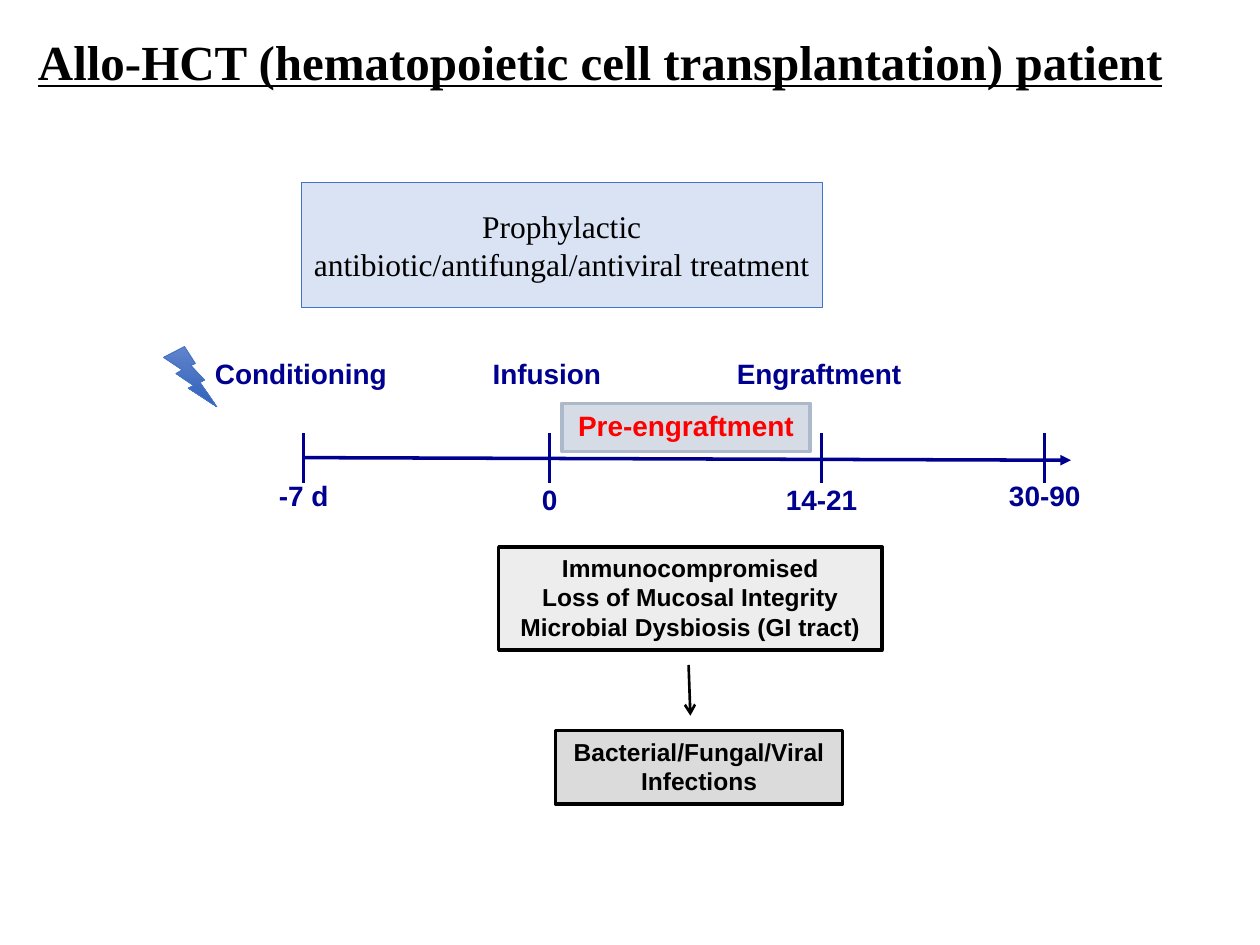
from lxml import etree
from pptx import Presentation
from pptx.dml.color import RGBColor
from pptx.enum.shapes import MSO_CONNECTOR, MSO_SHAPE
from pptx.enum.text import MSO_ANCHOR, MSO_AUTO_SIZE, PP_ALIGN
from pptx.oxml.ns import qn
from pptx.util import Pt

LEFT, CENTER = PP_ALIGN.LEFT, PP_ALIGN.CENTER
TOP, MIDDLE = MSO_ANCHOR.TOP, MSO_ANCHOR.MIDDLE
RECTANGLE, BOLT = MSO_SHAPE.RECTANGLE, MSO_SHAPE.LIGHTNING_BOLT
STRAIGHT = MSO_CONNECTOR.STRAIGHT
FIXED_SIZE = MSO_AUTO_SIZE.NONE
TITLE_ONLY = 5

COLORS = {
    "black": "000000", "navy": "000090", "red": "FF0000", "blue": "4472C4",
    "treatment": "DAE3F3", "phase": "D6DCE5", "phase_edge": "ADB9CA",
    "risks": "EDEDED", "infections": "DBDBDB",
    "bolt_top": "6183CB", "bolt_bottom": "3062BB",
}

# Tick position, day label, label top and width, event, event width
MILESTONES = [
    (173.5, "-7 d", 270, 43, "Conditioning", 114.5),
    (314, "0", 272, 24, "Infusion", 77),
    (469.5, "14-21", 272, 56, "Engraftment", 109.5),
    (597, "30-90", 270, 56, None, 0),
]
TICK_TOP, TICK_BOTTOM = 247.5, 276
EVENT_TOP, LABEL_HEIGHT = 200, 26.5


def color(name):
    return RGBColor.from_string(COLORS[name])


def place(shape, left, top, width, height):
    shape.left, shape.top = Pt(left), Pt(top)
    shape.width, shape.height = Pt(width), Pt(height)


def write(shape, text, *, size=16, font="Arial", ink="navy", bold=True,
          underline=None, align=CENTER, anchor=TOP, spacing=1, wrap=True):
    frame = shape.text_frame
    frame.auto_size = FIXED_SIZE
    frame.word_wrap = wrap
    frame.vertical_anchor = anchor
    frame.text = text
    for para in frame.paragraphs:
        para.alignment = align
        para.line_spacing = spacing
        for span in para.runs:
            span.font.name = font
            span.font.size = Pt(size)
            span.font.bold = bold
            span.font.underline = underline
            span.font.color.rgb = color(ink)


def add_label(page, text, center, top, width):
    box = page.shapes.add_textbox(
        Pt(center - width / 2), Pt(top), Pt(width), Pt(LABEL_HEIGHT))
    write(box, text, wrap=False)


def add_box(page, text, bounds, fill, edge, weight, **text_format):
    box = page.shapes.add_shape(RECTANGLE, *map(Pt, bounds))
    box.shadow.inherit = False
    box.fill.solid()
    box.fill.fore_color.rgb = color(fill)
    box.line.color.rgb = color(edge)
    box.line.width = Pt(weight)
    write(box, text, **text_format)


def add_line(page, start, end, ink, weight, head=None):
    line = page.shapes.add_connector(STRAIGHT, *map(Pt, start + end))
    line.line.color.rgb = color(ink)
    line.line.width = Pt(weight)
    if head:
        outline = line.line._get_or_add_ln()
        etree.SubElement(outline, qn("a:tailEnd"), type=head)
    properties = line._element.spPr
    etree.SubElement(properties, qn("a:effectLst"))


def add_bolt(page, *bounds):
    bolt = page.shapes.add_shape(BOLT, *map(Pt, bounds))
    bolt.shadow.inherit = False
    bolt.fill.gradient()
    bolt.fill.gradient_angle = 270
    for stop, name in zip(bolt.fill.gradient_stops, ("bolt_top", "bolt_bottom")):
        stop.color.rgb = color(name)
    bolt.line.color.rgb = color("blue")
    bolt.line.width = Pt(0.5)


def add_timeline(page):
    add_line(page, (MILESTONES[0][0], 261.5), (612, 263), "navy", 2, "triangle")
    for tick, day, day_top, day_width, event, event_width in MILESTONES:
        add_line(page, (tick, TICK_TOP), (tick, TICK_BOTTOM), "navy", 2)
        add_label(page, day, tick, day_top, day_width)
        if event:
            add_label(page, event, tick - 1.5, EVENT_TOP, event_width)


def main():
    deck = Presentation()
    deck.slide_width, deck.slide_height = Pt(720), Pt(540)
    page = deck.slides.add_slide(deck.slide_layouts[TITLE_ONLY])

    # Title
    title = page.shapes.title
    place(title, 14.5, 14.5, 669, 41)
    write(title, "Allo-HCT (hematopoietic cell transplantation) patient",
          size=28, font="Times New Roman", ink="black", underline=True, align=LEFT)

    # Timeline with its conditioning mark and phase
    add_timeline(page)
    add_bolt(page, 93.5, 198, 30.5, 34.5)
    add_box(page, "Pre-engraftment", (321, 230.5, 142, 27.5),
            "phase", "phase_edge", 2, ink="red", anchor=MIDDLE, spacing=0.9)

    # Treatment above the timeline
    add_box(page, "Prophylactic antibiotic/antifungal/antiviral treatment",
            (172, 104.5, 298, 71), "treatment", "blue", 0.5, size=18,
            font="Times New Roman", ink="black", bold=False, anchor=MIDDLE)

    # Risks and the infections that follow
    add_box(page, "Immunocompromised\nLoss of Mucosal Integrity\n"
            "Microbial Dysbiosis (GI tract)", (285, 312.5, 219, 59),
            "risks", "black", 2, size=14, ink="black", wrap=False)
    add_line(page, (393.5, 380), (394.5, 409), "black", 1.5, "arrow")
    add_box(page, "Bacterial/Fungal/Viral\nInfections", (317.5, 417.5, 164, 42),
            "infections", "black", 2, size=14, ink="black", wrap=False)

    deck.save("out.pptx")


if __name__ == "__main__":
    main()
